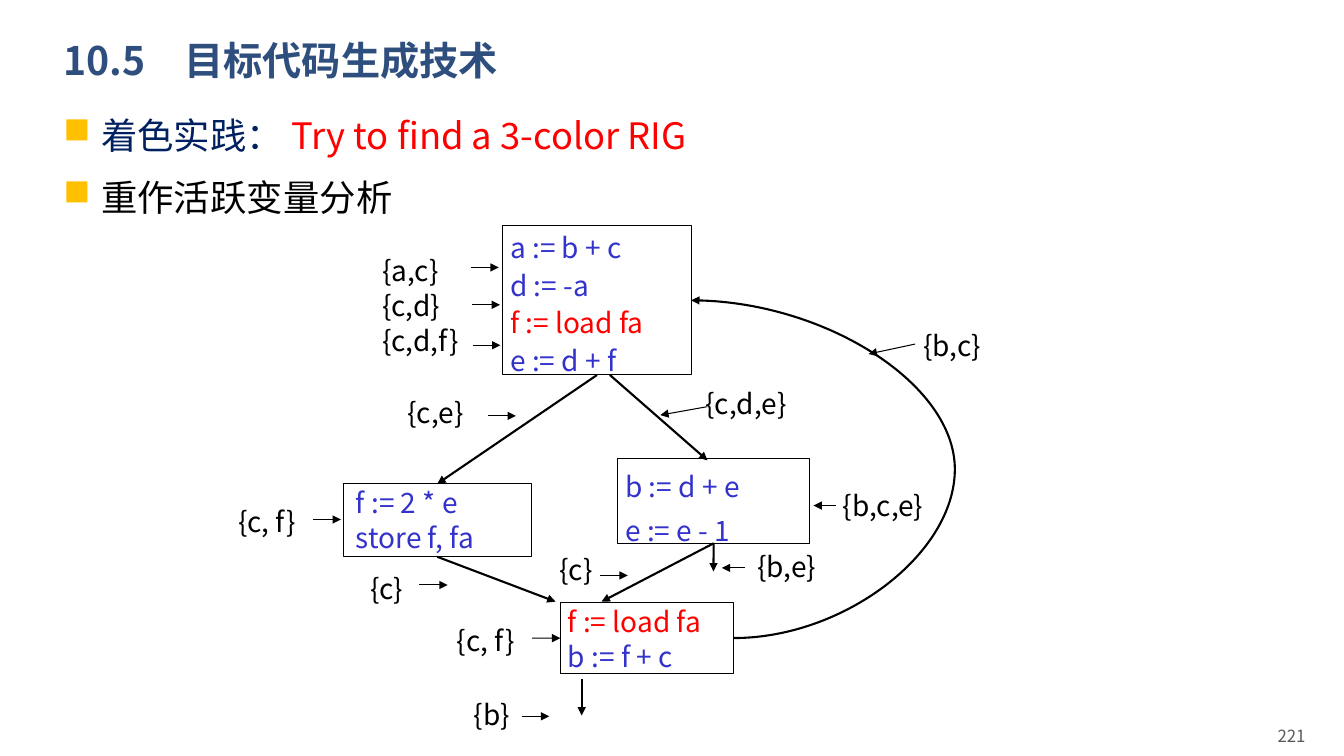
import pptx
import pptx.util
import pptx.dml.color
import pptx.enum.shapes
import pptx.enum.text
import pptx.oxml
import pptx.oxml.ns
from pptx.util import Cm

FONT = "Noto Sans CJK SC"
BLACK, NAVY, BLUE, RED = "000000", "002060", "3333CC", "FF0000"
TITLE_BLUE, GREY, AMBER = "2E4E7E", "595959", "FFC000"

# Content; lengths in centimetres
TITLE = "10.5\u3000目标代码生成技术".replace("\u3000", "　")
BULLETS = [
    [("着色实践：", NAVY), (" Try to find a 3-color RIG", RED)],
    [("重作活跃变量分析", BLACK)],
]
# name: (left, top, width, height), text inset, line spacing, border, code lines
BLOCKS = {
    "entry": ((12.67, 5.69, 4.75, 3.76), 0.19, 1.08, 0.75,
              [("a := b + c", BLUE), ("d := -a", BLUE),
               ("f := load fa", RED), ("e := d + f", BLUE)]),
    "left": ((8.66, 12.19, 4.72, 1.84), 0.31, 1, 0.4,
             [("f := 2 * e", BLUE), ("store f, fa", BLUE)]),
    "right": ((15.57, 11.56, 4.83, 2.13), 0.19, 1.26, 0.75,
              [("b := d + e", BLUE), ("e := e - 1", BLUE)]),
    "exit": ((14.12, 15.19, 4.37, 1.78), 0.19, 1, 0.75,
             [("f := load fa", RED), ("b := f + c", BLUE)]),
}
# Live sets: lines, left, top
LIVE_SETS = [
    (["{a,c}", "{c,d}", "{c,d,f}"], 9.6, 6.35),
    (["{c,e}"], 10.24, 9.91),
    (["{c,d,e}"], 17.75, 9.7),
    (["{b,c}"], 23.24, 8.23),
    (["{c, f}"], 5.97, 12.67),
    (["{b,c,e}"], 21.21, 12.27),
    (["{b,e}"], 19.05, 13.79),
    (["{c}"], 9.3, 14.35),
    (["{c}"], 14.07, 13.87),
    (["{c, f}"], 11.48, 15.65),
    (["{b}"], 11.91, 17.53),
]
# An arrow end is a point, or a block name with the number of its side
TOP, LEFT, BOTTOM, RIGHT = range(4)
POINTERS = [
    ((11.86, 6.74), (12.57, 6.74)),
    ((11.89, 7.68), (12.6, 7.68)),
    ((11.91, 8.7), (12.61, 8.7)),
    ((12.29, 10.48), (13, 10.48)),
    ((17.81, 10.25), (16.64, 10.46)),
    ((23.06, 8.67), (21.89, 8.92)),
    ((7.9, 13.09), (8.59, 13.09)),
    ((21.08, 12.74), (20.5, 12.74)),
    ((18.77, 14.31), (18.19, 14.31)),
    ((10.57, 14.74), (11.28, 14.74)),
    ((15.11, 14.5), (15.82, 14.5)),
    ((13.41, 16.08), ("exit", LEFT)),
    ((13.16, 18.05), (13.84, 18.05)),
]
FLOWS = [
    (("entry", BOTTOM), ("left", TOP)),
    ((15.37, 9.45), (17.83, 11.6)),
    (("left", BOTTOM), (14, 15.16)),
    (("right", BOTTOM), (15.16, 15.16)),
    (("right", BOTTOM), (17.98, 14.4)),
    ((14.66, 17.12), (14.66, 18.03)),
]
LOOP = ("exit", RIGHT), ("entry", RIGHT)
LOOP_BEND = -521100


def color(value):
    return pptx.dml.color.RGBColor.from_string(value)


def write(shape, lines, size=20, bold=False, spacing=1, before=0, inset=(0, 0, 0, 0),
          align="LEFT", anchor="TOP", bullet=None, wrap=True):
    """Fill a shape with lines, each a list of (text, colour) spans."""
    frame = shape.text_frame
    frame.word_wrap = wrap
    frame.vertical_anchor = pptx.enum.text.MSO_ANCHOR[anchor]
    (frame.margin_left, frame.margin_top,
     frame.margin_right, frame.margin_bottom) = map(Cm, inset)
    for index, spans in enumerate(lines):
        para = frame.paragraphs[0] if index == 0 else frame.add_paragraph()
        para.alignment = pptx.enum.text.PP_ALIGN[align]
        para.line_spacing = spacing
        if index:
            para.space_before = pptx.util.Pt(before)
        if bullet:
            properties = para._p.get_or_add_pPr()
            properties.set("marL", str(Cm(0.95)))
            properties.set("indent", str(-Cm(0.95)))
            for tag in (f'<a:buClr {NS}><a:srgbClr val="{AMBER}"/></a:buClr>',
                        f'<a:buChar {NS} char="{bullet}"/>'):
                properties.append(pptx.oxml.parse_xml(tag))
        for text, shade in spans:
            span = para.add_run()
            span.text = text
            span.font.size = pptx.util.Pt(size)
            span.font.bold = bold
            span.font.name = FONT
            span.font.color.rgb = color(shade)
            east = pptx.oxml.parse_xml(f'<a:ea {NS} typeface="{FONT}"/>')
            span.font._element.find(pptx.oxml.ns.qn("a:latin")).addnext(east)


def text_box(left, top, width, height, lines, **style):
    box = page.shapes.add_textbox(Cm(left), Cm(top), Cm(width), Cm(height))
    write(box, lines, **style)


def locate(end):
    """Turn an arrow end into a point."""
    if not isinstance(end[0], str):
        return end
    left, top, width, height = BLOCKS[end[0]][0]
    return [(left + width / 2, top), (left, top + height / 2),
            (left + width / 2, top + height), (left + width, top + height / 2)][end[1]]


def arrow(start, end, weight=1.5, kind="STRAIGHT"):
    points = [Cm(value) for value in (*locate(start), *locate(end))]
    line = page.shapes.add_connector(pptx.enum.shapes.MSO_CONNECTOR[kind], *points)
    for target, join in ((start, line.begin_connect), (end, line.end_connect)):
        if isinstance(target[0], str):
            join(blocks[target[0]], target[1])
    line.line.width = pptx.util.Pt(weight)
    line.line.color.rgb = color(BLACK)
    line.line._get_or_add_ln().append(
        pptx.oxml.parse_xml(f'<a:tailEnd {NS} type="triangle"/>'))
    line._element.spPr.append(pptx.oxml.parse_xml(f"<a:effectLst {NS}/>"))
    return line


NS = pptx.oxml.ns.nsdecls("a")
deck = pptx.Presentation()
deck.slide_width, deck.slide_height = Cm(33.87), Cm(19.05)
page = deck.slides.add_slide(deck.slide_layouts[6])

# Heading, bullets and page number
PADDING = (0.25, 0.13, 0.25, 0.13)
text_box(1.35, 0.71, 29.21, 1.73, [[(TITLE, TITLE_BLUE)]], size=28, bold=True,
         spacing=0.9, anchor="MIDDLE", inset=PADDING)
text_box(1.35, 2.62, 31.78, 3.23, BULLETS, size=26, spacing=1.1, before=10,
         align="JUSTIFY", bullet="■", inset=PADDING)
text_box(23.27, 18.03, 9.88, 1.02, [[("221", GREY)]], size=12, align="RIGHT",
         anchor="MIDDLE", inset=PADDING)

# Basic blocks
blocks = {}
for name, (area, indent, spacing, border, code) in BLOCKS.items():
    block = page.shapes.add_shape(pptx.enum.shapes.MSO_SHAPE.RECTANGLE, *map(Cm, area))
    block.shadow.inherit = False
    block.fill.background()
    block.line.color.rgb = color(BLACK)
    block.line.width = pptx.util.Pt(border)
    write(block, [[line] for line in code], spacing=spacing, before=1,
          inset=(indent, 0.05, 0, 0))
    blocks[name] = block

# Live sets and their pointers
for sets, left, top in LIVE_SETS:
    text_box(left, top, 2.4, 0.89 * len(sets), [[(text, BLACK)] for text in sets],
             before=0.9, inset=(0.03, 0.05, 0, 0), wrap=False)
for start, end in POINTERS:
    arrow(start, end, weight=0.75)

# Control flow
for start, end in FLOWS:
    arrow(start, end)
loop = arrow(*LOOP, kind="CURVE")
guides = loop._element.spPr.prstGeom.get_or_add_avLst()
guides.append(pptx.oxml.parse_xml(f'<a:gd {NS} name="adj1" fmla="val {LOOP_BEND}"/>'))

deck.save("out.pptx")
